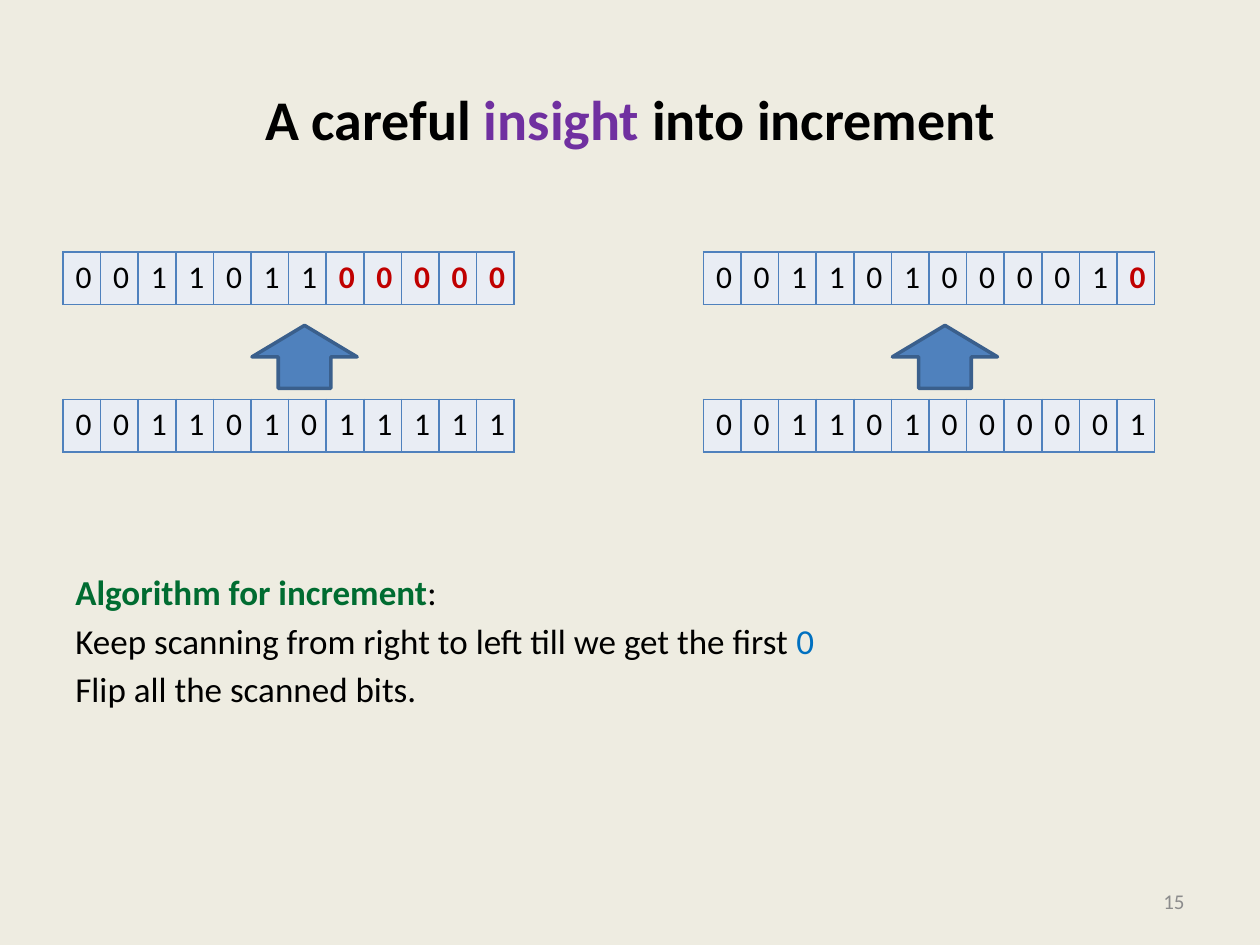
from lxml import etree
from pptx import Presentation
from pptx import util as u
from pptx.dml.color import RGBColor
from pptx.enum import shapes, text
from pptx.oxml import ns

COLORS = {
    "paper": "EEECE1", "ink": "000000", "insight": "7030A0", "heading": "006C31",
    "zero": "0070C0", "flipped": "C00000", "cell": "E9EDF4", "blue": "4F81BD",
    "outline": "3A5F8C", "number": "8C8C8C",
}


def color(name):
    return RGBColor.from_string(COLORS[name])


def add_text(left, top, width, height, size, align, anchor, paragraphs):
    frame = slide.shapes.add_textbox(u.Cm(left), u.Cm(top), u.Cm(width), u.Cm(height)).text_frame
    frame.word_wrap = True
    frame.vertical_anchor = anchor
    for index, runs in enumerate(paragraphs):
        paragraph = frame.paragraphs[0] if index == 0 else frame.add_paragraph()
        paragraph.alignment = align
        paragraph.space_after = u.Pt(3.6)
        paragraph.font.size = u.Pt(size)
        paragraph.font.name = "Calibri"
        for words, shade, bold in runs:
            run = paragraph.add_run()
            run.text = words
            run.font.color.rgb = color(shade)
            run.font.bold = bold


deck = Presentation()
deck.slide_width, deck.slide_height = u.Cm(25.4), u.Cm(19.05)
slide = deck.slides.add_slide(deck.slide_layouts[6])
slide.background.fill.solid()
slide.background.fill.fore_color.rgb = color("paper")

align, anchor = text.PP_ALIGN, text.MSO_ANCHOR
add_text(1.27, 0.8, 22.86, 3.18, 32, align.CENTER, anchor.MIDDLE, [
    [("A careful ", "ink", True), ("insight", "insight", True), (" into increment", "ink", True)],
])
add_text(1.27, 11.38, 22.86, 5.6, 20, align.LEFT, anchor.TOP, [
    [("Algorithm for increment", "heading", True), (":", "ink", False)],
    [("Keep scanning from right to left till we get the first ", "ink", False), ("0", "zero", False)],
    [("Flip all the scanned bits.", "ink", False)],
])
add_text(18.2, 17.66, 5.93, 1.01, 12, align.RIGHT, anchor.MIDDLE, [[("15", "number", False)]])

BITS = 12
COUNTER_WIDTH, COUNTER_HEIGHT = 9.1, 1.06
AFTER_TOP, ARROW_TOP, BEFORE_TOP = 5.08, 6.56, 8.05
examples = [
    (1.27, "001101011111", "001101100000", 5),
    (14.18, "001101000001", "001101000010", 1),
]

for left, before, after, flipped in examples:
    for top, bits, marked in [(BEFORE_TOP, before, 0), (AFTER_TOP, after, flipped)]:
        counter = slide.shapes.add_table(
            1, BITS, u.Cm(left), u.Cm(top), u.Cm(COUNTER_WIDTH), u.Cm(COUNTER_HEIGHT)).table
        for position, bit in enumerate(bits):
            counter.columns[position].width = u.Cm(COUNTER_WIDTH / BITS)
            cell = counter.cell(0, position)
            properties = cell._tc.get_or_add_tcPr()
            for side in ("a:lnL", "a:lnR", "a:lnT", "a:lnB"):
                border = etree.SubElement(properties, ns.qn(side), w=str(u.Pt(1)))
                fill = etree.SubElement(border, ns.qn("a:solidFill"))
                etree.SubElement(fill, ns.qn("a:srgbClr"), val=COLORS["blue"])
            cell.fill.solid()
            cell.fill.fore_color.rgb = color("cell")
            cell.text = bit
            is_flipped = position >= BITS - marked
            digit = cell.text_frame.paragraphs[0]
            digit.alignment = align.CENTER
            digit.font.size = u.Pt(18)
            digit.font.name = "Calibri"
            digit.font.bold = is_flipped
            digit.font.color.rgb = color("flipped" if is_flipped else "ink")

    arrow = slide.shapes.add_shape(
        shapes.MSO_SHAPE.UP_ARROW, u.Cm(left + 3.81), u.Cm(ARROW_TOP), u.Cm(2.12), u.Cm(1.27))
    arrow.shadow.inherit = False
    arrow.fill.solid()
    arrow.fill.fore_color.rgb = color("blue")
    arrow.line.color.rgb = color("outline")
    arrow.line.width = u.Pt(2)

deck.save("out.pptx")
